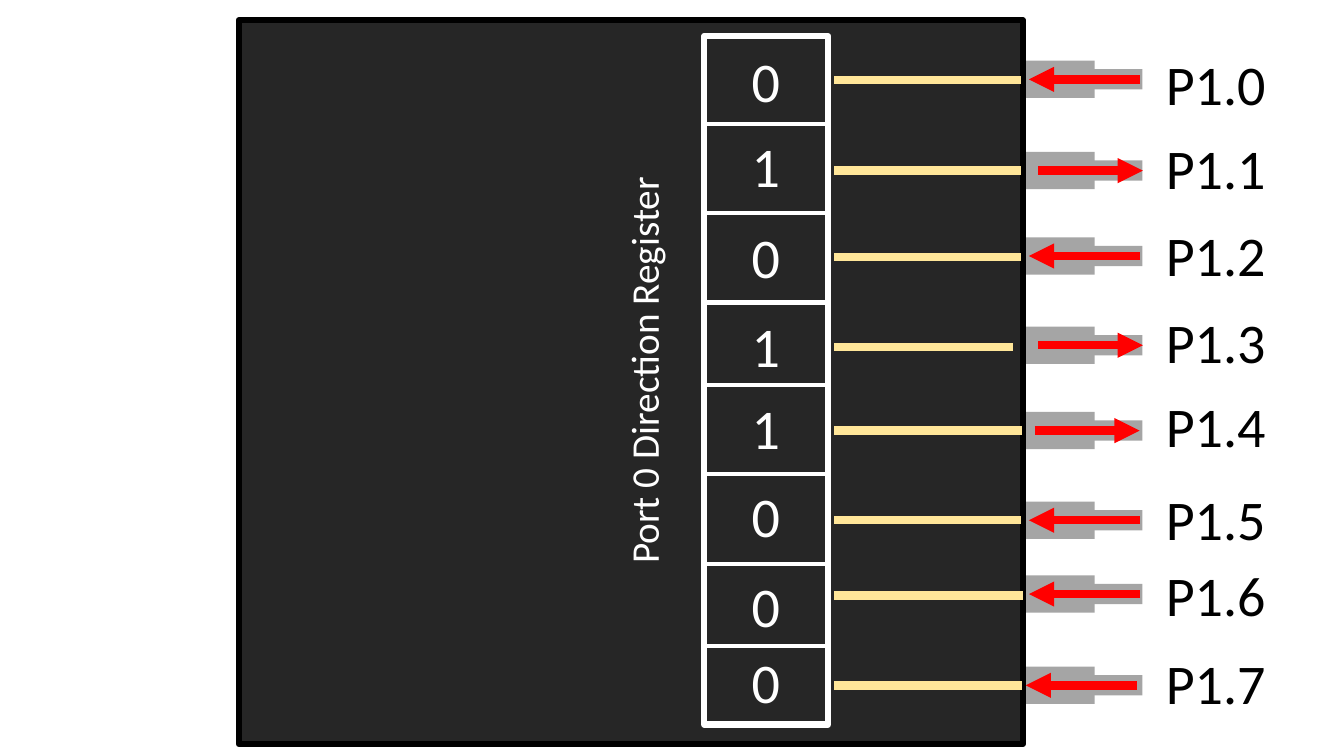
from collections import namedtuple

from lxml import etree
from pptx import Presentation
from pptx import util as u
from pptx.dml.color import RGBColor
from pptx.enum import shapes, text
from pptx.oxml import ns

COLORS = {
    "chip": "262626", "border": "000000", "register": "FFFFFF", "pin": "A5A5A5",
    "wire": "FFE699", "arrow": "FF0000", "label": "000000",
}
Box = namedtuple("Box", "left top width height")
Line = namedtuple("Line", "bit wire_y pin_y digit_top label_top wire_end arrow_shift")

# Lengths in centimetres
CHIP = Box(6.02, 0.51, 19.76, 18.24)
REGISTER = Box(17.75, 0.91, 3.12, 17.35)
PINS = Box(25.86, 0, 2.92, 19.05)
DIVIDERS = [3.12, 5.36, 7.62, 9.7, 11.94, 14.22, 16.28]
LINES = [
    Line("0", 2.02, 2.0, 1.04, 1.12, 25.73, 0),
    Line("1", 4.3, 4.3, 3.2, 3.23, 25.73, 0),
    Line("0", 6.48, 6.45, 5.49, 5.44, 25.73, 0),
    Line("1", 8.74, 8.7, 7.72, 7.62, 25.53, 0),
    Line("1", 10.85, 10.85, 9.78, 9.75, 25.76, -0.08),
    Line("0", 13.11, 13.11, 12.01, 12.09, 25.73, 0),
    Line("0", 15.01, 14.97, 14.27, 14.0, 25.78, 0),
    Line("0", 17.27, 17.27, 16.18, 16.21, 25.76, -0.08),
]


def color(name):
    return RGBColor.from_string(COLORS[name])


def add_rectangle(parent, box, fill=None, line=None):
    shape = parent.add_shape(shapes.MSO_SHAPE.RECTANGLE, *map(u.Cm, box))
    shape.shadow.inherit = False
    if fill:
        shape.fill.solid()
        shape.fill.fore_color.rgb = color(fill)
    else:
        shape.fill.background()
    if line:
        shape.line.color.rgb = color(line)
        shape.line.width = u.Pt(4.5)
    else:
        shape.line.fill.background()


def add_line(parent, start, end, y, line_color, width, arrow=False):
    connector = parent.add_connector(
        shapes.MSO_CONNECTOR.STRAIGHT, u.Cm(start), u.Cm(y), u.Cm(end), u.Cm(y))
    connector.line.color.rgb = color(line_color)
    connector.line.width = u.Pt(width)
    properties = connector.element.spPr
    if arrow:
        etree.SubElement(properties.find(ns.qn("a:ln")), ns.qn("a:tailEnd"), type="triangle")
    etree.SubElement(properties, ns.qn("a:effectLst"))


def add_text(parent, content, box, size=40, font_color="label", rotation=0):
    shape = parent.add_textbox(*map(u.Cm, box))
    shape.rotation = rotation
    frame = shape.text_frame
    frame.word_wrap = True
    frame.auto_size = text.MSO_AUTO_SIZE.SHAPE_TO_FIT_TEXT
    paragraph = frame.paragraphs[0]
    run = paragraph.add_run()
    run.text = content
    run.font.name = "Calibri"
    run.font.size = u.Pt(size)
    run.font.color.rgb = color(font_color)


def draw_chip(slide, box):
    add_rectangle(slide.shapes, box, fill="chip", line="border")
    add_text(slide.shapes, "Port 0 Direction Register",
             Box(box.left + 4.8, box.top + 7.82, 10.8, 1.45),
             size=28, font_color="register", rotation=270)


def draw_register(slide, box):
    # Frame and cell dividers
    group = slide.shapes.add_group_shape()
    add_rectangle(group.shapes, box, line="register")
    for y in DIVIDERS:
        add_line(group.shapes, box.left, box.left + box.width, y, "register", 3)
    # Direction bits and their wires
    for line in LINES:
        add_text(slide.shapes, line.bit, Box(box.left + 0.94, line.digit_top, 0.92, 1.96),
                 font_color="register")
        add_line(slide.shapes, box.left + box.width + 0.15, line.wire_end,
                 line.wire_y, "wire", 6)


def draw_pins(slide, box):
    for number, line in enumerate(LINES):
        # Stepped pin
        group = slide.shapes.add_group_shape()
        for offset, height in ((0, 0.94), (1.2, 0.51)):
            add_rectangle(group.shapes,
                          Box(box.left + offset, line.pin_y - height / 2, 1.73, height),
                          fill="pin")
        # Bit 1 drives the pin outwards, bit 0 reads it
        start, end = (0.3, 2.94) if line.bit == "1" else (2.87, 0.07)
        left = box.left + line.arrow_shift
        add_line(slide.shapes, left + start, left + end, line.pin_y, "arrow", 6, arrow=True)
        add_text(slide.shapes, f"P1.{number}",
                 Box(box.left + box.width + 0.35, line.label_top, 3.33, 1.96))


def main():
    presentation = Presentation()
    presentation.slide_width = u.Cm(33.87)
    presentation.slide_height = u.Cm(19.05)
    slide = presentation.slides.add_slide(presentation.slide_layouts[6])
    draw_chip(slide, CHIP)
    draw_register(slide, REGISTER)
    draw_pins(slide, PINS)
    presentation.save("out.pptx")


if __name__ == "__main__":
    main()
